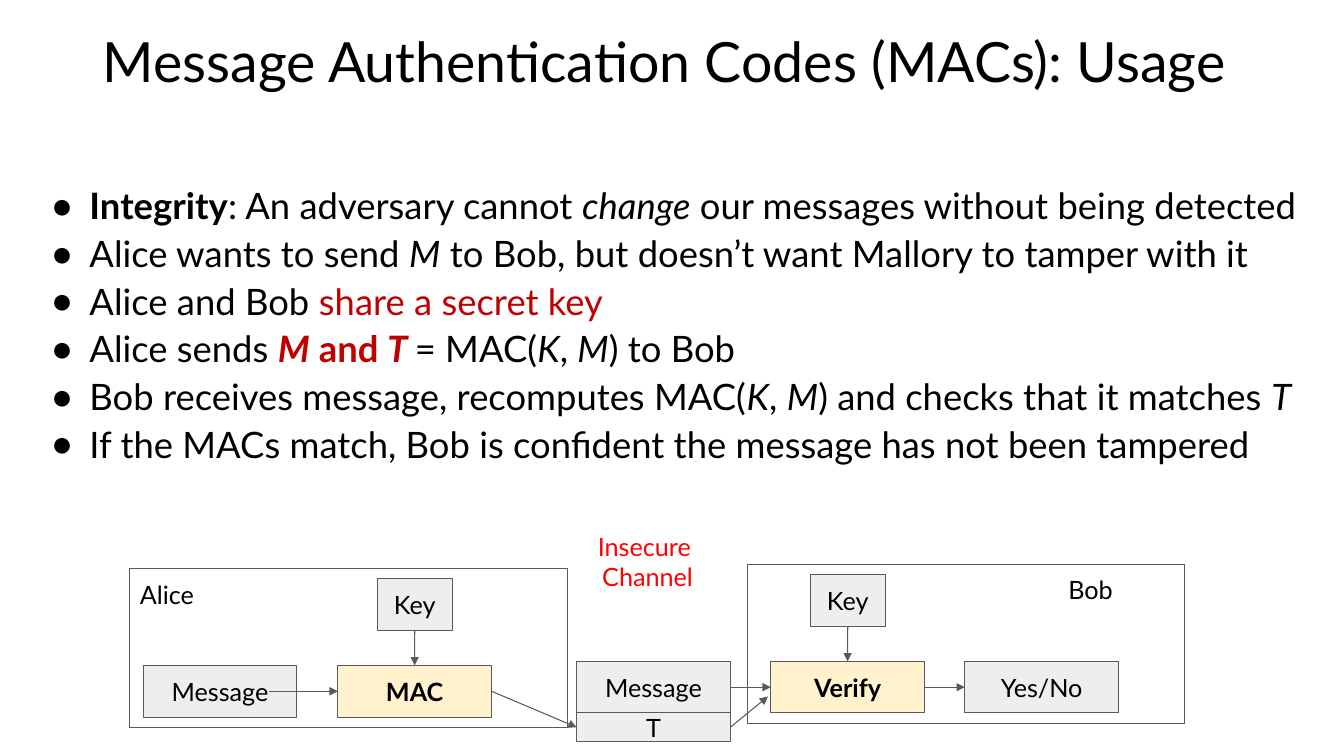
from dataclasses import dataclass

from lxml import etree
from pptx import Presentation
from pptx.dml.color import RGBColor
from pptx.enum.shapes import MSO_CONNECTOR as CONN, MSO_SHAPE as SHAPE
from pptx.enum.text import MSO_ANCHOR as ANCHOR, MSO_AUTO_SIZE as AUTO, PP_ALIGN as ALIGN
from pptx.oxml.ns import qn
from pptx.util import Pt


@dataclass(frozen=True)
class Theme:
    font: str = "Lato"
    black: str = "000000"
    accent: str = "C00000"
    warning: str = "FF0000"
    line: str = "595959"
    grey: str = "EEEEEE"
    yellow: str = "FFF2CC"
    title: float = 39.6
    body: float = 26
    label: float = 18
    stroke: float = 0.75
    inset: float = 7.2


T = Theme()
TOP, LEFT, BOTTOM, RIGHT = 0, 1, 2, 3


def add_run(p, text, size, color=T.black, bold=False, italic=False):
    r = p.add_run()
    r.text = text
    fmt = {"name": T.font, "size": Pt(size), "bold": bold, "italic": italic}
    for name, value in fmt.items():
        setattr(r.font, name, value)
    r.font.color.rgb = RGBColor.from_string(color)


def format_frame(tf, anchor):
    fmt = {"word_wrap": True, "auto_size": AUTO.NONE, "vertical_anchor": anchor}
    for side in ("left", "top", "right", "bottom"):
        fmt[f"margin_{side}"] = Pt(T.inset)
    for name, value in fmt.items():
        setattr(tf, name, value)


prs = Presentation()
prs.slide_width, prs.slide_height = Pt(960), Pt(540)
s = prs.slides.add_slide(prs.slide_layouts[1])
title, body = s.placeholders

# Title
title.left, title.top, title.width, title.height = Pt(66.2), Pt(4.3), Pt(828), Pt(83.5)
format_frame(title.text_frame, ANCHOR.MIDDLE)
p = title.text_frame.paragraphs[0]
p.alignment, p.line_spacing = ALIGN.LEFT, 0.9
add_run(p, "Message Authentication Codes (MACs): Usage", T.title)

# Bullet list: each item is a list of (text, style) with b = bold, i = italic, c = accent
bullets = [
    [("Integrity", "b"), (": An adversary cannot ", ""), ("change", "i"),
     (" our messages without being detected", "")],
    [("Alice wants to send ", ""), ("M", "i"),
     (" to Bob, but doesn’t want Mallory to tamper with it", "")],
    [("Alice and Bob ", ""), ("share a secret key", "c")],
    [("Alice sends ", ""), ("M", "bic"), (" and ", "bc"), ("T ", "bic"), ("= MAC(", ""),
     ("K", "i"), (", ", ""), ("M", "i"), (") to Bob", "")],
    [("Bob receives message, recomputes MAC(", ""), ("K", "i"), (", ", ""), ("M", "i"),
     (") and checks that it matches ", ""), ("T", "i")],
    [("If the MACs match, Bob is confident the message has not been tampered", "")],
]
body.left, body.top, body.width, body.height = Pt(20.7), Pt(127.4), Pt(918.7), Pt(219.6)
tf = body.text_frame
format_frame(tf, ANCHOR.TOP)
for i, item in enumerate(bullets):
    p = tf.paragraphs[0] if i == 0 else tf.add_paragraph()
    pPr = p._p.get_or_add_pPr()
    pPr.set("marL", str(Pt(36)))
    pPr.set("indent", str(-Pt(27.4)))
    etree.SubElement(pPr, qn("a:buChar")).set("char", "●")
    p.line_spacing, p.space_before, p.space_after = 0.9, Pt(0), Pt(6)
    for text, style in item:
        add_run(p, text, T.body, T.accent if "c" in style else T.black,
                "b" in style, "i" in style)

# Frames and boxes of the diagram; Bob's side sits slightly higher than Alice's
ALICE_Y, BOB_Y = 406.3, 403.4
ROW, KEY_DY = 69, 7.1
FRAME_W, FRAME_H = 312.5, 113.3
BOX_W, BOX_H, KEY_W = 109.8, 36.9, 53.5
parts = {
    # text, x, y, width, height, fill
    "bob": ("", 533.7, BOB_Y, FRAME_W, FRAME_H, None),
    "alice": ("", 92.7, ALICE_Y, FRAME_W, FRAME_H, None),
    "message": ("Message", 102.3, ALICE_Y + ROW, BOX_W, BOX_H, T.grey),
    "alice_key": ("Key", 269.5, ALICE_Y + KEY_DY, KEY_W, BOX_H, T.grey),
    "mac": ("MAC", 241.3, ALICE_Y + ROW, BOX_W, BOX_H, T.yellow),
    "sent_message": ("Message", 411.9, BOB_Y + ROW, BOX_W, BOX_H, T.grey),
    "sent_tag": ("T", 411.9, BOB_Y + ROW + BOX_H, BOX_W, 20.3, T.grey),
    "bob_key": ("Key", 578.8, BOB_Y + KEY_DY, KEY_W, BOX_H, T.grey),
    "verify": ("Verify", 550.6, BOB_Y + ROW, BOX_W, BOX_H, T.yellow),
    "result": ("Yes/No", 689.2, BOB_Y + ROW, BOX_W, BOX_H, T.grey),
}
boxes = {}
for key, (text, x, y, w, h, fill) in parts.items():
    sp = s.shapes.add_shape(SHAPE.RECTANGLE, Pt(x), Pt(y), Pt(w), Pt(h))
    sp.shadow.inherit = False
    sp.line.color.rgb = RGBColor.from_string(T.line)
    sp.line.width = Pt(T.stroke)
    if fill:
        sp.fill.solid()
        sp.fill.fore_color.rgb = RGBColor.from_string(fill)
    else:
        sp.fill.background()
    if text:
        format_frame(sp.text_frame, ANCHOR.MIDDLE)
        p = sp.text_frame.paragraphs[0]
        p.alignment = ALIGN.CENTER
        add_run(p, text, T.label, bold=fill == T.yellow)
    boxes[key] = sp

# Arrows: each end is a (box, side) joint or a free point
SIDES = {TOP: (0.5, 0), LEFT: (0, 0.5), BOTTOM: (0.5, 1), RIGHT: (1, 0.5)}
arrows = [
    (("alice_key", BOTTOM), ("mac", TOP)),
    ((192.2, ALICE_Y + ROW + BOX_H / 2), ("mac", LEFT)),
    (("mac", RIGHT), ("sent_tag", LEFT)),
    (("sent_message", RIGHT), ("verify", LEFT)),
    (("bob_key", BOTTOM), ("verify", TOP)),
    (("verify", RIGHT), ("result", LEFT)),
    (("sent_tag", RIGHT), (548.6, 497.5)),
]
for ends in arrows:
    points = []
    for a, b in ends:
        if a in parts:
            _, x, y, w, h, _ = parts[a]
            fx, fy = SIDES[b]
            a, b = x + fx * w, y + fy * h
        points += [Pt(a), Pt(b)]
    c = s.shapes.add_connector(CONN.STRAIGHT, *points)
    for (target, side), connect in zip(ends, (c.begin_connect, c.end_connect)):
        if target in boxes:
            connect(boxes[target], side)
    c.line.color.rgb = RGBColor.from_string(T.line)
    c.line.width = Pt(T.stroke)
    etree.SubElement(c.line._get_or_add_ln(), qn("a:tailEnd")).set("type", "triangle")
    etree.SubElement(c._element.spPr, qn("a:effectLst"))

# Labels
labels = [
    (["Alice"], 92.9, ALICE_Y, 74.2, 36, ALIGN.LEFT, T.black),
    (["Bob"], 727.8, BOB_Y, 74.2, 36, ALIGN.RIGHT, T.black),
    (["Insecure ", "Channel"], 367.9, 372.2, 189.4, 58.3, ALIGN.CENTER, T.warning),
]
for lines, x, y, w, h, align, color in labels:
    tf = s.shapes.add_textbox(Pt(x), Pt(y), Pt(w), Pt(h)).text_frame
    format_frame(tf, ANCHOR.TOP)
    for i, text in enumerate(lines):
        p = tf.paragraphs[0] if i == 0 else tf.add_paragraph()
        p.alignment = align
        add_run(p, text, T.label, color)

prs.save("out.pptx")
